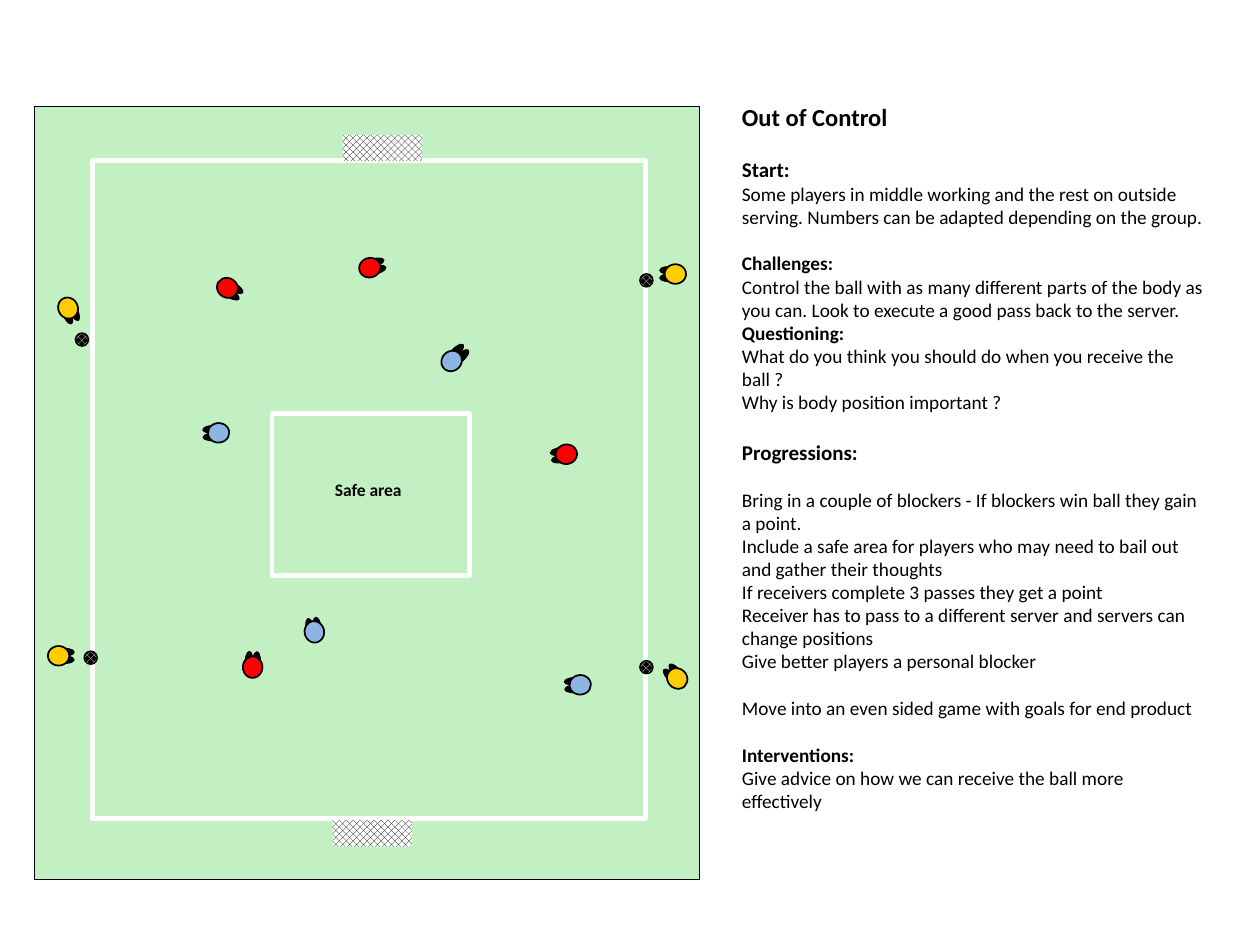
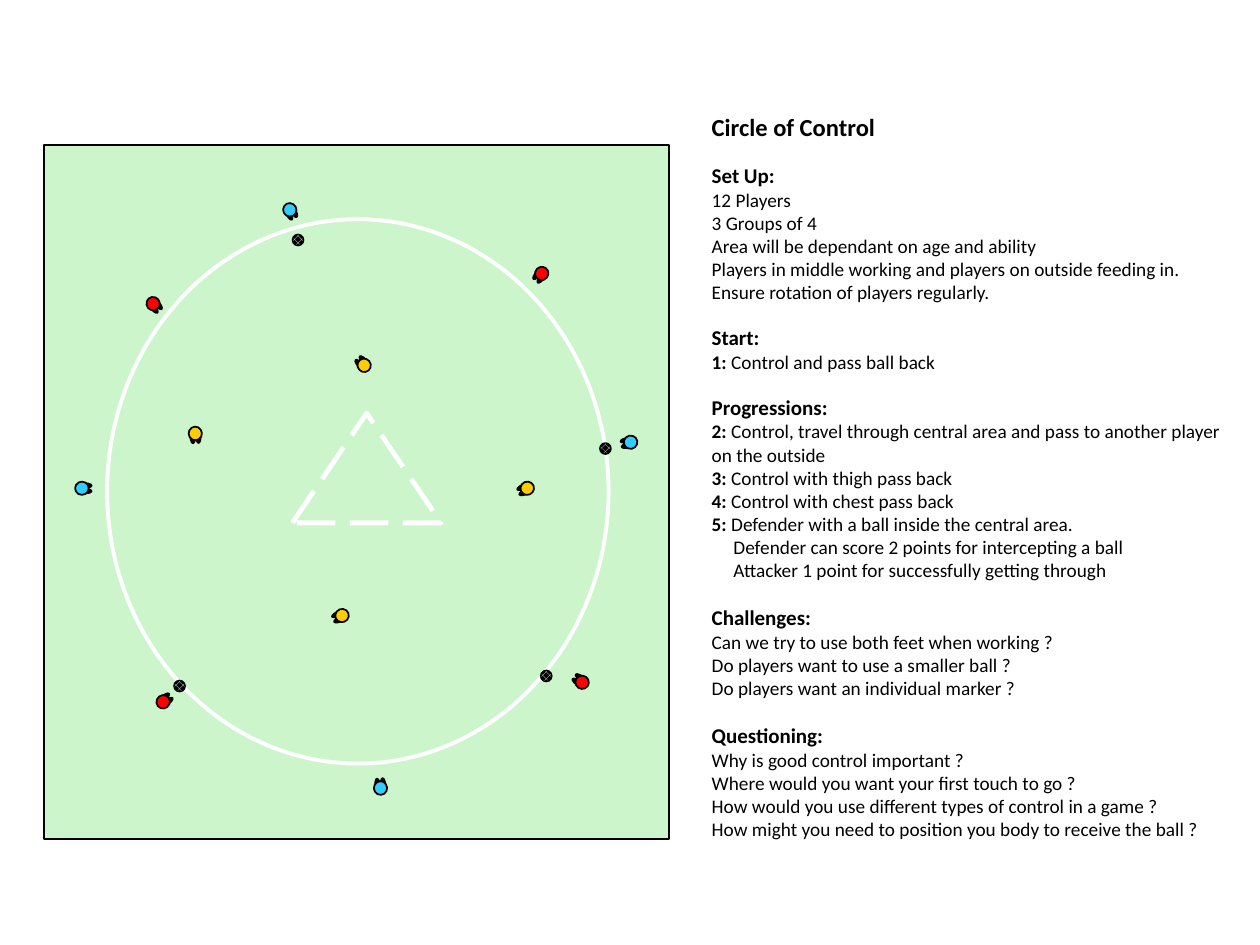
import math
from dataclasses import dataclass
from typing import Optional

from pptx import Presentation
from pptx import util as u
from pptx.dml.color import RGBColor
from pptx.enum import dml, shapes, text

BLACK = RGBColor(0x00, 0x00, 0x00)
WHITE = RGBColor(0xFF, 0xFF, 0xFF)
RED = RGBColor(0xFF, 0x00, 0x00)
YELLOW = RGBColor(0xFF, 0xCC, 0x00)
PALE_BLUE = RGBColor(0x8E, 0xB4, 0xE3)
SKY_BLUE = RGBColor(0x33, 0xCC, 0xFF)
GRASS = RGBColor(0xC2, 0xF0, 0xC2)
LIGHT_GRASS = RGBColor(0xCC, 0xF5, 0xCC)

FONT = "Calibri"
LINE_HEIGHT = 1.22
SLIDE_WIDTH, SLIDE_HEIGHT = u.Inches(10), u.Inches(7.5)
COLUMNS = 100
CELL = SLIDE_WIDTH / COLUMNS

OVAL = shapes.MSO_SHAPE.OVAL
RECTANGLE = shapes.MSO_SHAPE.RECTANGLE
TRIANGLE = shapes.MSO_SHAPE.ISOSCELES_TRIANGLE


@dataclass(frozen=True)
class Area:
    column: float
    row: float
    width: float
    height: float

    def lengths(self) -> list[int]:
        return [cells(n) for n in (self.column, self.row, self.width, self.height)]


@dataclass(frozen=True)
class Player:
    column: float
    row: float
    heading: float
    color: RGBColor
    reach: float = 1.0


@dataclass(frozen=True)
class PlayerSize:
    body_width: float
    foot_width: float
    length: float
    foot_spread: float
    foot_reach: float


@dataclass(frozen=True)
class Line:
    words: str
    lead: str = ""
    size: float = 11
    bold: bool = False
    blank: float = 0
    indent: float = 0


def cells(count: float) -> int:
    return round(count * CELL)


def centred(column: float, row: float, width: float, height: float) -> Area:
    return Area(column - width / 2, row - height / 2, width, height)


def title(words: str) -> Line:
    return Line(words, size=14, bold=True)


def heading(words: str, size: float = 12, blank: float = 11) -> Line:
    return Line(words, size=size, bold=True, blank=blank)


def add_outline(parent, kind, area: Area, fill: Optional[RGBColor] = None,
                line: Optional[RGBColor] = BLACK, weight: float = 0.75,
                rotation: float = 0):
    shape = parent.shapes.add_shape(kind, *area.lengths())
    shape.shadow.inherit = False
    shape.rotation = rotation
    if fill is None:
        shape.fill.background()
    else:
        shape.fill.solid()
        shape.fill.fore_color.rgb = fill
    if line is None:
        shape.line.fill.background()
    else:
        shape.line.color.rgb = line
        shape.line.width = u.Pt(weight)
    return shape


def add_pattern(shape, pattern, front: RGBColor, back: RGBColor) -> None:
    shape.fill.patterned()
    shape.fill.pattern = pattern
    shape.fill.fore_color.rgb = front
    shape.fill.back_color.rgb = back


def add_ball(slide, column: float, row: float, size: float) -> None:
    ball = add_outline(slide, OVAL, centred(column, row, size, size))
    add_pattern(ball, dml.MSO_PATTERN.SOLID_DIAMOND, WHITE, BLACK)


def add_goal(slide, area: Area) -> None:
    goal = add_outline(slide, RECTANGLE, area, line=None)
    add_pattern(goal, dml.MSO_PATTERN.OUTLINED_DIAMOND, BLACK, WHITE)


def add_player(slide, player: Player, size: PlayerSize) -> None:
    group = slide.shapes.add_group_shape()
    angle = math.radians(player.heading)
    forward = size.foot_reach * player.reach
    for side in (-size.foot_spread, size.foot_spread):
        column = player.column + side * math.cos(angle) + forward * math.sin(angle)
        row = player.row + side * math.sin(angle) - forward * math.cos(angle)
        add_outline(group, OVAL, centred(column, row, size.foot_width, size.length),
                    BLACK, rotation=player.heading)
    add_outline(group, OVAL,
                centred(player.column, player.row, size.body_width, size.length),
                player.color, weight=1, rotation=player.heading)


def add_text(slide, area: Area, lines: list[Line]) -> None:
    text_frame = slide.shapes.add_textbox(*area.lengths()).text_frame
    text_frame.word_wrap = True
    for index, line in enumerate(lines):
        paragraph = text_frame.paragraphs[0] if index == 0 else text_frame.add_paragraph()
        paragraph.text = line.lead or line.words
        if line.lead:
            paragraph.add_run().text = line.words
        if line.blank:
            paragraph.space_before = u.Pt(round(line.blank * LINE_HEIGHT, 1))
        if line.indent:
            properties = paragraph._p.get_or_add_pPr()
            properties.set("marL", str(cells(line.indent)))
            properties.set("indent", "0")
        for run in paragraph.runs:
            run.font.name = FONT
            run.font.size = u.Pt(line.size)
            run.font.bold = line.bold
            run.font.color.rgb = BLACK
        if line.lead:
            paragraph.runs[0].font.bold = True


LARGE_PLAYER = PlayerSize(1.55, 0.6, 1.7, 0.3, 0.38)
SMALL_PLAYER = PlayerSize(1.05, 0.4, 1.08, 0.22, 0.25)

OUT_OF_CONTROL_PLAYERS = [
    Player(44.95, 36.05, 261, RED),
    Player(53.6, 21.75, 270, YELLOW),
    Player(5.4, 24.45, 154, YELLOW),
    Player(18.05, 22.85, 120.6, RED),
    Player(17.35, 34.35, 267.2, PALE_BLUE),
    Player(29.35, 21.25, 75, RED),
    Player(20.05, 52.95, 2, RED),
    Player(53.75, 53.85, 318, YELLOW),
    Player(4.65, 52.05, 91, YELLOW),
    Player(35.85, 28.65, 46.2, PALE_BLUE, 1.8),
    Player(24.95, 50.15, 350.2, PALE_BLUE, 0.7),
    Player(46.05, 54.35, 267.2, PALE_BLUE),
]
OUT_OF_CONTROL_BALLS = [(51.3, 22.25), (51.3, 52.95), (6.5, 26.95), (7.2, 52.2)]
GOALS = [Area(27.2, 10.7, 6.3, 2.1), Area(26.4, 65.1, 6.3, 2.1)]

OUT_OF_CONTROL_LINES = [
    title("Out of Control"),
    heading("Start:", blank=12),
    Line("Some players in middle working and the rest on outside serving. "
         "Numbers can be adapted depending on the group."),
    heading("Challenges:", size=11),
    Line("Control the ball with as many different parts of the body as you can. "
         "Look to execute a good pass back to the server."),
    heading("Questioning:", size=11, blank=0),
    Line("What do you think you should do when you receive the ball ?"),
    Line("Why is body position important ?"),
    heading("Progressions:", blank=12),
    Line("Bring in a couple of blockers - If blockers win ball they gain a point.", blank=11),
    Line("Include a safe area for players who may need to bail out and gather their thoughts"),
    Line("If receivers complete 3 passes they get a point"),
    Line("Receiver has to pass to a different server and servers can change positions"),
    Line("Give better players a personal blocker"),
    Line("Move into an even sided game with goals for end product", blank=11),
    heading("Interventions:", size=11),
    Line("Give advice on how we can receive the ball more effectively"),
]

CIRCLE_PLAYERS = [
    Player(28.9, 29, 319, YELLOW),
    Player(30.2, 62.55, 356, SKY_BLUE),
    Player(6.5, 38.75, 91, SKY_BLUE),
    Player(23, 16.65, 153, SKY_BLUE),
    Player(50.05, 35.1, 259, SKY_BLUE),
    Player(27.15, 48.85, 247.5, YELLOW),
    Player(41.85, 38.75, 247.5, YELLOW),
    Player(15.5, 34.4, 177, YELLOW),
    Player(12.95, 55.7, 52, RED),
    Player(43, 21.7, 220, RED),
    Player(46.2, 54.15, 305, RED),
    Player(12.15, 24.1, 138, RED),
]
CIRCLE_BALLS = [(23.65, 19.05), (14.25, 54.45), (43.35, 53.65), (48.05, 35.6)]

CIRCLE_LINES = [
    title("Circle of Control"),
    heading("Set Up:", blank=10),
    Line("12 Players"),
    Line("3 Groups of 4"),
    Line("Area will be dependant on age and ability"),
    Line("Players in middle working and players on outside feeding in."),
    Line("Ensure rotation of players regularly."),
    heading("Start:", blank=10),
    Line("Control and pass ball back", lead="1: "),
    heading("Progressions:", blank=10),
    Line("Control, travel through central area and pass to another player on the outside",
         lead="2: "),
    Line(" Control with thigh pass back", lead="3:"),
    Line("Control with chest pass back", lead="4: "),
    Line(" Defender with a ball inside the central area.", lead="5:"),
    Line("Defender can score 2 points for intercepting a ball", indent=1.73),
    Line("Attacker 1 point for successfully getting through", indent=1.73),
    heading("Challenges:"),
    Line("Can we try to use both feet when working ?"),
    Line("Do players want to use a smaller ball ?"),
    Line("Do players want an individual marker ?"),
    heading("Questioning:"),
    Line("Why is good control important ?"),
    Line("Where would you want your first touch to go ?"),
    Line("How would you use different types of control in a game ?"),
    Line("How might you need to position you body to receive the ball ?"),
]


def add_pieces(slide, balls: list[tuple[float, float]], ball_size: float,
               players: list[Player], player_size: PlayerSize) -> None:
    for column, row in balls:
        add_ball(slide, column, row, ball_size)
    for player in players:
        add_player(slide, player, player_size)


def build_out_of_control(slide) -> None:
    add_text(slide, Area(57.9, 7.6, 38.6, 67), OUT_OF_CONTROL_LINES)
    add_outline(slide, RECTANGLE, Area(2.7, 8.4, 52.8, 61.4), GRASS, weight=0.25)
    add_outline(slide, RECTANGLE, Area(7.35, 12.75, 43.9, 52.2), line=WHITE, weight=3)
    add_outline(slide, RECTANGLE, Area(21.6, 32.8, 15.7, 12.9), line=WHITE, weight=2.75)
    for goal in GOALS:
        add_goal(slide, goal)
    add_pieces(slide, OUT_OF_CONTROL_BALLS, 1.05, OUT_OF_CONTROL_PLAYERS, LARGE_PLAYER)
    add_text(slide, Area(25.6, 37.5, 9.4, 2.7), [Line("Safe area", size=10, bold=True)])


def build_circle_of_control(slide) -> None:
    add_text(slide, Area(55.5, 8.4, 42.5, 66), CIRCLE_LINES)
    add_outline(slide, RECTANGLE, Area(3.5, 11.5, 49.6, 55.1), LIGHT_GRASS)
    add_outline(slide, OVAL, Area(8.5, 17.4, 39.8, 43.2), line=WHITE, weight=2.25)
    add_pieces(slide, CIRCLE_BALLS, 0.9, CIRCLE_PLAYERS, SMALL_PLAYER)
    triangle = add_outline(slide, TRIANGLE, Area(23.2, 32.8, 11.8, 8.7),
                           line=WHITE, weight=2.75)
    triangle.line.dash_style = dml.MSO_LINE.LONG_DASH


def main() -> None:
    presentation = Presentation()
    presentation.slide_width, presentation.slide_height = SLIDE_WIDTH, SLIDE_HEIGHT
    for build in (build_out_of_control, build_circle_of_control):
        build(presentation.slides.add_slide(presentation.slide_layouts[6]))
    presentation.save("out.pptx")


if __name__ == "__main__":
    main()
